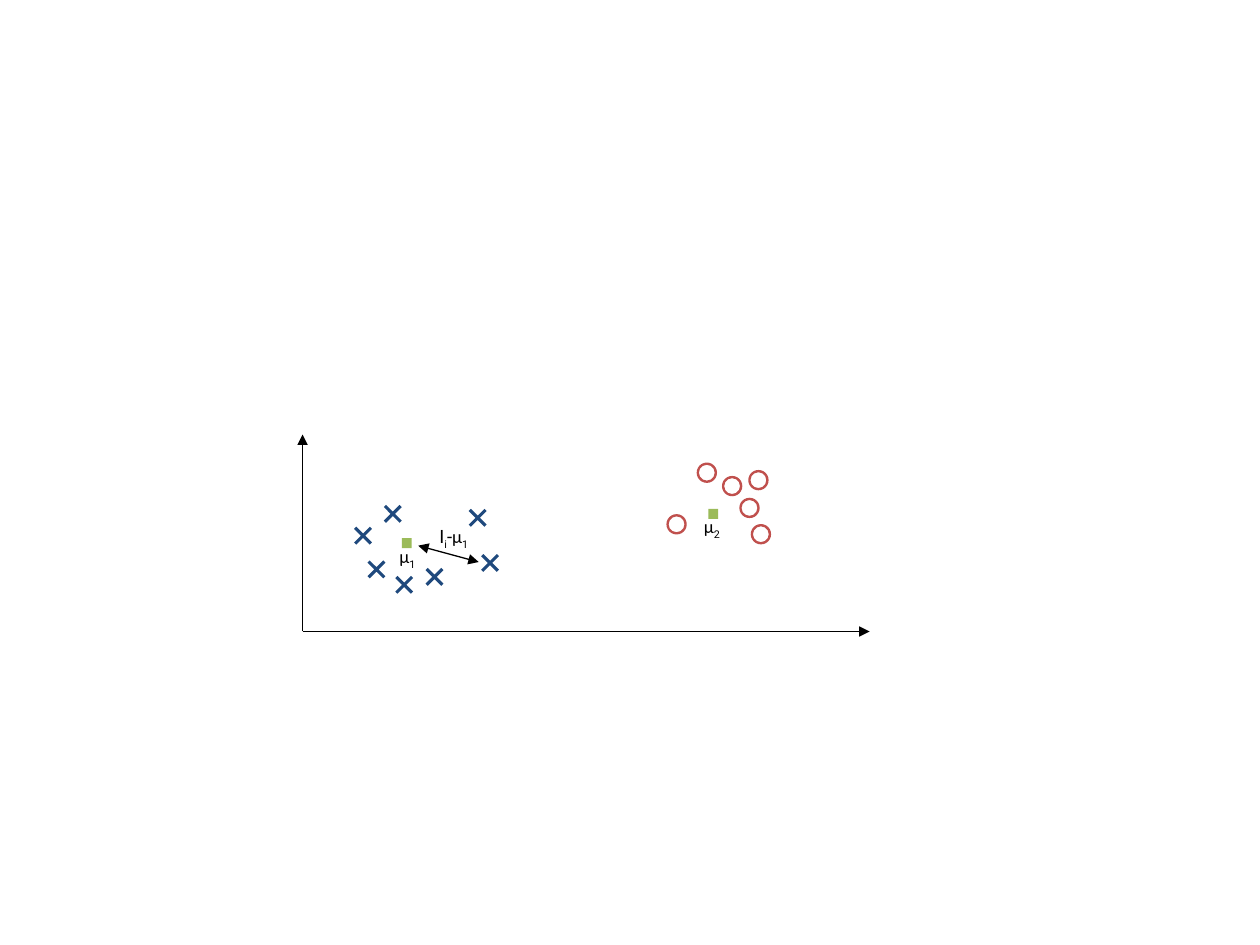
from lxml import etree
from pptx import Presentation
from pptx import util as u
from pptx.dml.color import RGBColor
from pptx.enum import shapes, text
from pptx.oxml import ns

THEME = {
    "ink": "000000", "cross": "1F497D", "ring": "C0504D", "mean": "9BBB59",
    "latin": "Roboto", "greek": "Calibri", "label_size": 10.5,
    "axis_width": 1, "distance_width": 0.75,
}

# All positions and lengths are in centimetres; markers are placed by centre.
CROSSES = [(9.88, 11.35), (8.15, 11.79), (7.59, 11.48), (7.32, 10.8),
           (8.76, 11.63), (9.63, 10.44), (7.92, 10.36)]
RINGS = [(14.25, 9.53), (14.76, 9.8), (15.11, 10.24),
         (15.29, 9.68), (15.34, 10.77), (13.64, 10.57)]
MEANS = [(8.2, 10.95), (14.38, 10.36)]
# centres, preset, size, colour, adjustment
MARKERS = [
    (CROSSES, shapes.MSO_SHAPE.MATH_MULTIPLY, 0.61, "cross", 0.103),
    (RINGS, shapes.MSO_SHAPE.DONUT, 0.41, "ring", 0.112),
    (MEANS, shapes.MSO_SHAPE.RECTANGLE, 0.2, "mean", None),
]

ORIGIN = (6.1, 12.73)
AXIS_ENDS = [(6.1, 8.76), (17.53, 12.73)]
DISTANCE = [(8.43, 11), (9.65, 11.33)]

# left, top, width, then parts; "_" starts a subscript
LABELS = [
    (7.8, 10.87, 0.86, ["μ", "_1"]),
    (13.94, 10.26, 0.86, ["μ", "_2"]),
    (8.61, 10.46, 1.12, ["I", "_i", "-", "μ", "_1"]),
]
LABEL_HEIGHT = 1.47


def colour(name):
    return RGBColor.from_string(THEME[name])


def add_marker(slide, centre, preset, size, fill, adjustment):
    left, top = (u.Cm(c - size / 2) for c in centre)
    marker = slide.shapes.add_shape(preset, left, top, u.Cm(size), u.Cm(size))
    if adjustment is not None:
        marker.adjustments[0] = adjustment
    marker.shadow.inherit = False
    marker.fill.solid()
    marker.fill.fore_color.rgb = colour(fill)
    marker.line.fill.background()


def add_arrow(slide, start, end, width, ends=("tailEnd",)):
    arrow = slide.shapes.add_connector(
        shapes.MSO_CONNECTOR.STRAIGHT, *(u.Cm(c) for c in (*start, *end)))
    arrow.line.color.rgb = colour("ink")
    arrow.line.width = u.Pt(width)
    for tag in ends:
        etree.SubElement(arrow.line._get_or_add_ln(), ns.qn(f"a:{tag}"), type="triangle")
    etree.SubElement(arrow._element.spPr, ns.qn("a:effectLst"))


def add_run(paragraph, content, *, font, size, fill, subscript=False):
    run = paragraph.add_run()
    run.text = content
    run.font.name = font
    run.font.size = u.Pt(size)
    run.font.color.rgb = colour(fill)
    if subscript:
        run._r.get_or_add_rPr().set("baseline", "-25000")


def add_label(slide, left, top, width, parts):
    label = slide.shapes.add_textbox(
        *(u.Cm(c) for c in (left, top, width, LABEL_HEIGHT))).text_frame
    label.word_wrap = False
    label.auto_size = text.MSO_AUTO_SIZE.SHAPE_TO_FIT_TEXT
    for part in parts:
        add_run(label.paragraphs[0], part.lstrip("_"),
                font=THEME["greek" if part == "μ" else "latin"],
                size=THEME["label_size"], fill="ink",
                subscript=part.startswith("_"))


def main():
    deck = Presentation()
    deck.slide_width, deck.slide_height = u.Cm(25.4), u.Cm(19.05)
    slide = deck.slides.add_slide(deck.slide_layouts.get_by_name("Blank"))

    for axis_end in AXIS_ENDS:
        add_arrow(slide, ORIGIN, axis_end, THEME["axis_width"])
    for centres, *look in MARKERS:
        for centre in centres:
            add_marker(slide, centre, *look)
    add_arrow(slide, *DISTANCE, THEME["distance_width"], ends=("headEnd", "tailEnd"))
    for label in LABELS:
        add_label(slide, *label)

    deck.save("out.pptx")


if __name__ == "__main__":
    main()
